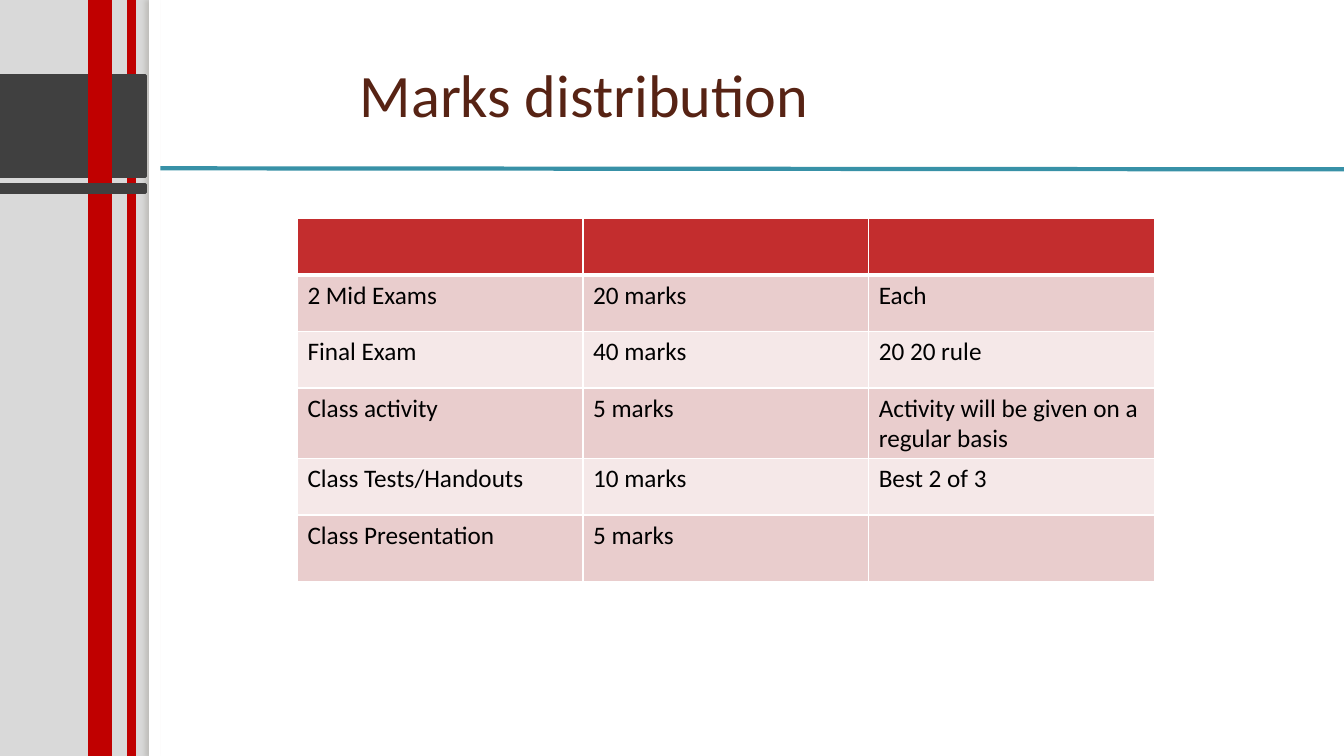
"""Build the slide that shows how course marks are distributed."""
import lxml.etree
import pptx
import pptx.dml.color
import pptx.enum.shapes
import pptx.enum.text
import pptx.oxml
import pptx.oxml.ns
import pptx.util

Inches = pptx.util.Inches
WIDTH, HEIGHT = 13.33, 7.5
SIDEBAR = 1.48
WHITE, RED, DARK, TEAL = "FFFFFF", "C00000", "404040", "3891A7"
HEADER, BANDS = "C32D2E", ("E9CDCD", "F5E8E8")
MARKS = [
    ("", "", ""),
    ("2 Mid Exams", "20 marks", "Each"),
    ("Final Exam", "40 marks", "20 20 rule"),
    ("Class activity", "5 marks", "Activity will be given on a regular basis"),
    ("Class Tests/Handouts", "10 marks", "Best 2 of 3"),
    ("Class Presentation", "5 marks", ""),
]


def color(code):
    return pptx.dml.color.RGBColor.from_string(code)


def write(frame, text, size=18, ink="000000", anchor="TOP"):
    frame.word_wrap = True
    frame.vertical_anchor = getattr(pptx.enum.text.MSO_ANCHOR, anchor)
    para = frame.paragraphs[0]
    para.font.size = pptx.util.Pt(size)
    if text:
        span = para.add_run()
        span.text = text
        span.font.name = "Calibri"
        span.font.size = pptx.util.Pt(size)
        span.font.color.rgb = color(ink)


def add_bar(slide, box, fill, outlined=True):
    bar = slide.shapes.add_shape(
        pptx.enum.shapes.MSO_SHAPE.RECTANGLE, *map(Inches, box))
    bar.shadow.inherit = False
    bar.fill.solid()
    bar.fill.fore_color.rgb = color(fill)
    if outlined:
        bar.line.color.rgb = color(fill)
        bar.line.width = pptx.util.Pt(2)
    else:
        bar.line.fill.background()
    return bar


def add_shadow(shape, code, opacity, blur, distance, angle):
    effects = shape._element.spPr.find(pptx.oxml.ns.qn("a:effectLst"))
    effects.append(pptx.oxml.parse_xml(
        f'<a:outerShdw {pptx.oxml.ns.nsdecls("a")} blurRad="{pptx.util.Pt(blur)}" '
        f'dist="{pptx.util.Pt(distance)}" dir="{angle * 60000}" rotWithShape="0">'
        f'<a:srgbClr val="{code}"><a:alpha val="{opacity * 1000}"/></a:srgbClr>'
        '</a:outerShdw>'))


def add_sidebar(slide, box):
    left, top, width, height = box
    right = left + width
    add_bar(slide, (right, top, WIDTH - right, height), WHITE, outlined=False)
    edge = add_bar(slide, (right, top, 0.11, height), WHITE, outlined=False)
    add_shadow(edge, "736F63", 25, 3, 3, 180)
    add_bar(slide, (left + 1.27, top, 0.07, height), RED)
    add_bar(slide, (left, top + 0.75, 1.44, 1), DARK)
    add_bar(slide, (left + 0.89, top, 0.21, height), RED)
    add_bar(slide, (left, top + 1.83, 1.44, 0.08), DARK)


def add_title(slide, box):
    title = slide.shapes.add_textbox(*map(Inches, box))
    write(title.text_frame, "Marks distribution", size=43, ink="572314",
          anchor="MIDDLE")


def add_rule(slide, box):
    left, top, width, height = box
    rule = slide.shapes.add_connector(
        pptx.enum.shapes.MSO_CONNECTOR.STRAIGHT,
        *map(Inches, (left, top, left + width, top + height)))
    rule.line.color.rgb = color(TEAL)
    rule.line.width = pptx.util.Pt(3)
    lxml.etree.SubElement(rule._element.spPr, pptx.oxml.ns.qn("a:effectLst"))


def add_borders(cell, bottom):
    properties = cell._tc.get_or_add_tcPr()
    widths = {"lnL": 1, "lnR": 1, "lnT": 1, "lnB": bottom}
    for index, (side, width) in enumerate(widths.items()):
        properties.insert(index, pptx.oxml.parse_xml(
            f'<a:{side} {pptx.oxml.ns.nsdecls("a")} w="{pptx.util.Pt(width)}">'
            f'<a:solidFill><a:srgbClr val="{WHITE}"/></a:solidFill></a:{side}>'))


def add_marks_table(slide, box):
    left, top, width, height = box
    row_height = 0.56
    last_height = height - row_height * (len(MARKS) - 1)
    table = slide.shapes.add_table(
        len(MARKS), len(MARKS[0]), *map(Inches, box)).table
    for column in table.columns:
        column.width = Inches(width / len(MARKS[0]))
    for index, texts in enumerate(MARKS):
        last = index == len(MARKS) - 1
        table.rows[index].height = Inches(last_height if last else row_height)
        for cell, text in zip(table.rows[index].cells, texts):
            write(cell.text_frame, text)
            cell.fill.solid()
            cell.fill.fore_color.rgb = color(
                BANDS[(index - 1) % 2] if index else HEADER)
            add_borders(cell, bottom=1 if index else 3)


def build_slide(deck):
    slide = deck.slides.add_slide(deck.slide_layouts[6])
    slide.background.fill.solid()
    slide.background.fill.fore_color.rgb = color("D9D9D9")
    add_sidebar(slide, (0, 0, SIDEBAR, HEIGHT))
    add_title(slide, (3.47, 0.3, 8.2, 1.25))
    add_marks_table(slide, (2.95, 2.17, 8.5, 3.46))
    add_rule(slide, (1.59, 1.67, WIDTH - 1.59, 0.01))


deck = pptx.Presentation()
deck.slide_width, deck.slide_height = Inches(WIDTH), Inches(HEIGHT)
build_slide(deck)
deck.save("out.pptx")
